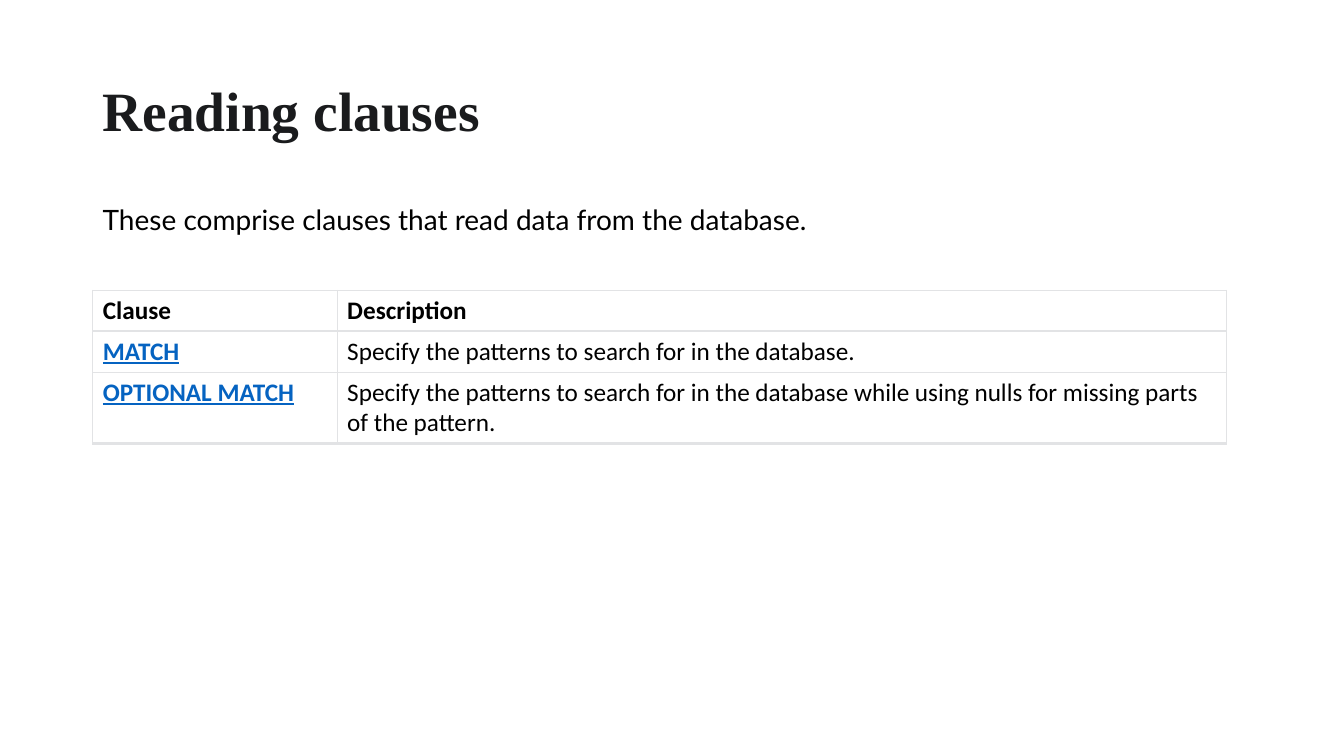
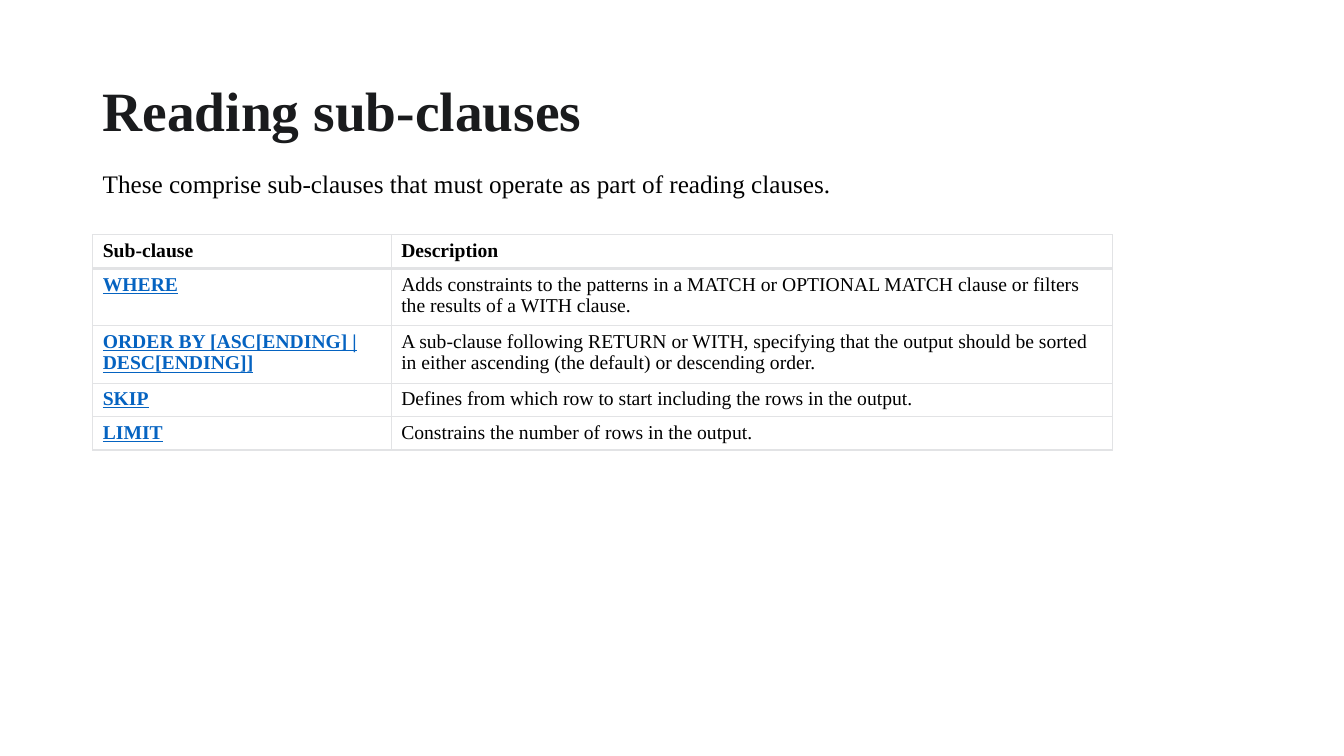
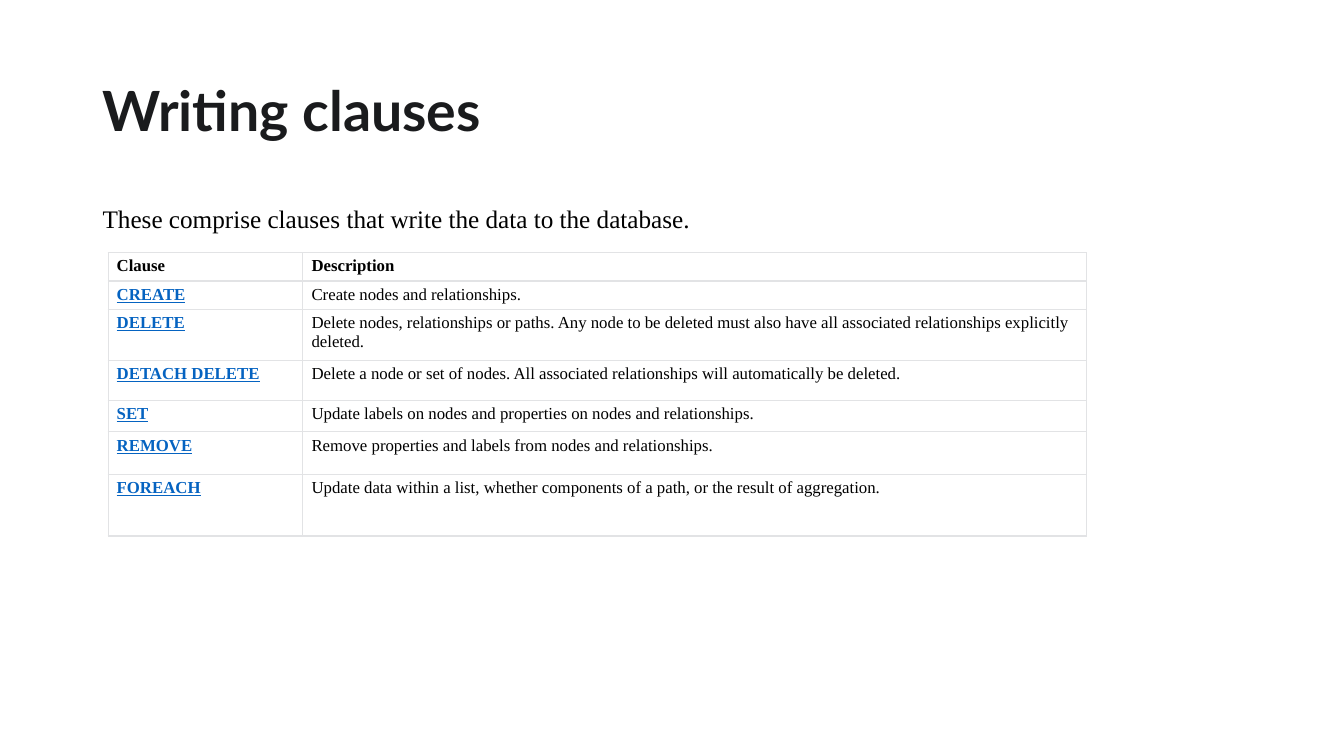
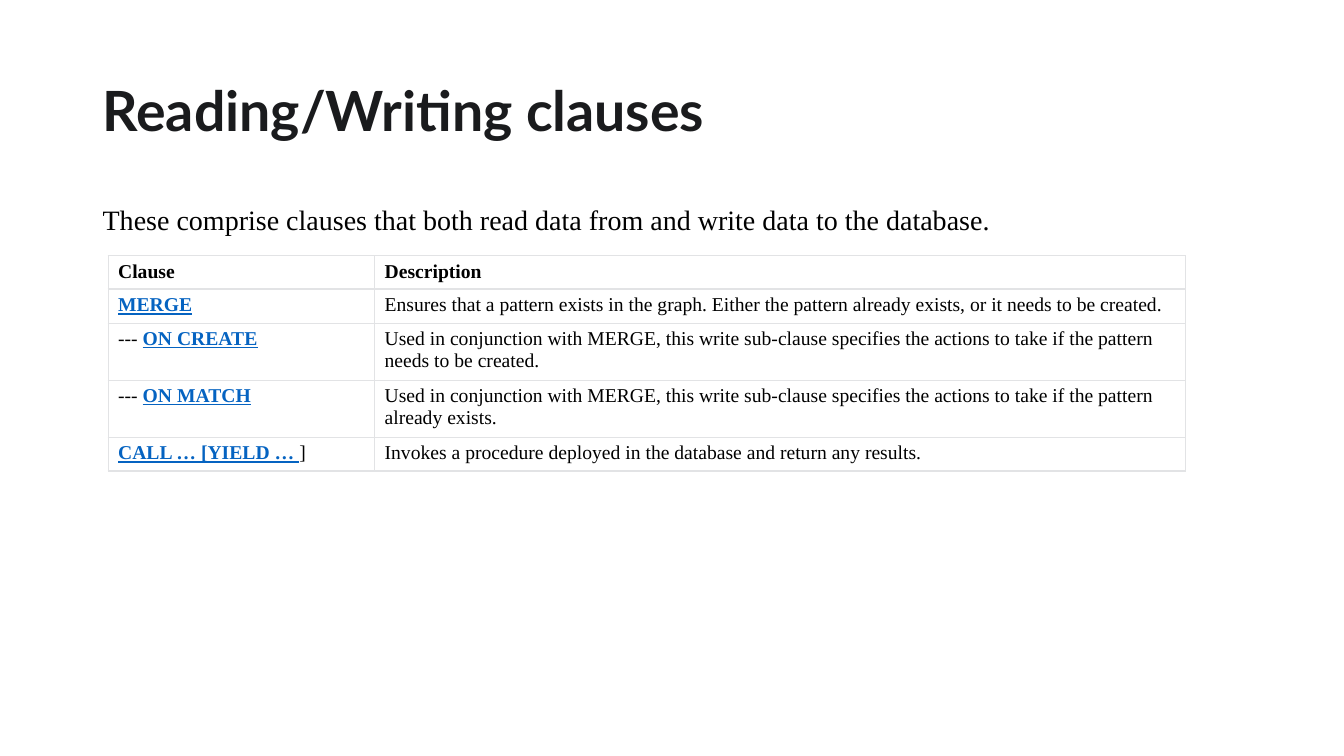
import dataclasses

import lxml.etree
import pptx
import pptx.dml.color
import pptx.enum.text
import pptx.oxml.ns
import pptx.util

Pt = pptx.util.Pt
RGBColor = pptx.dml.color.RGBColor
Anchor = pptx.enum.text.MSO_ANCHOR

INK = RGBColor(0x1A, 0x1B, 0x1D)
BLACK = RGBColor(0x00, 0x00, 0x00)
WHITE = RGBColor(0xFF, 0xFF, 0xFF)
LINK = RGBColor(0x05, 0x63, 0xC1)
RULE = RGBColor(0xE2, 0xE3, 0xE5)

SERIF = "Times New Roman"
LATO = "Lato"
CALIBRI = "Calibri"

LEFT = 66.24
WIDTH = 828
THIN = 0.75
THICK = 1.88


@dataclasses.dataclass(frozen=True)
class Box:
    left: float
    top: float
    width: float
    height: float


@dataclasses.dataclass(frozen=True)
class Font:
    name: str
    size: float
    color: RGBColor = BLACK
    bold: bool = False
    line: bool = False


@dataclasses.dataclass(frozen=True)
class Row:
    link: str
    note: str
    height: float
    lead: str = ""
    tail: str = ""


@dataclasses.dataclass(frozen=True)
class Grid:
    left: float
    top: float
    cols: tuple[float, float]
    font: Font
    label: str
    head: float
    rows: list[Row]
    pad: tuple[float, float] = (7.2, 3.6)


@dataclasses.dataclass(frozen=True)
class Page:
    title: str
    face: str
    intro: str
    font: Font
    grid: Grid
    box: Box = Box(LEFT, 144, WIDTH, 342.72)
    space: float = 0.9


TITLE = Box(LEFT, 28.8, WIDTH, 104.4)

PAGES = [
    Page(
        "Reading clauses", SERIF,
        "These comprise clauses that read data from the database.",
        Font(LATO, 20),
        Grid(LEFT, 207.4, (174.6, 635.4), Font(CALIBRI, 18), "Clause", 29.2, [
            Row("MATCH", "Specify the patterns to search for in the database.", 29.2),
            Row("OPTIONAL MATCH", "Specify the patterns to search for in the database "
                "while using nulls for missing parts of the pattern.", 51.1),
        ]),
    ),
    Page(
        "Reading sub-clauses", SERIF,
        "These comprise sub-clauses that must operate as part of reading clauses.",
        Font(SERIF, 18),
        Grid(LEFT, 167.8, (213.2, 515.4), Font(SERIF, 14), "Sub-clause", 22.5, [
            Row("WHERE", "Adds constraints to the patterns in a MATCH or OPTIONAL MATCH "
                "clause or filters the results of a WITH clause.", 38.2),
            Row("ORDER BY [ASC[ENDING] | DESC[ENDING]]",
                "A sub-clause following RETURN or WITH, specifying that the output "
                "should be sorted in either ascending (the default) or descending order.", 38.2),
            Row("SKIP", "Defines from which row to start including the rows in the output.", 22.5),
            Row("LIMIT", "Constrains the number of rows in the output.", 22.5),
        ]),
        Box(LEFT, 116.64, 769, 28.8), 1.0,
    ),
    Page(
        "Writing clauses", LATO,
        "These comprise clauses that write the data to the database.",
        Font(SERIF, 18),
        Grid(77.2, 180.4, (139.2, 559.4), Font(SERIF, 12), "Clause", 19.4, [
            Row("CREATE", "Create nodes and relationships.", 19.4),
            Row("DELETE", "Delete nodes, relationships or paths. Any node to be deleted must "
                "also have all associated relationships explicitly deleted.", 36.6),
            Row("DETACH DELETE", "Delete a node or set of nodes. All associated relationships "
                "will automatically be deleted.", 28),
            Row("SET", "Update labels on nodes and properties on nodes and relationships.", 22.8),
            Row("REMOVE", "Remove properties and labels from nodes and relationships.", 30.6),
            Row("FOREACH", "Update data within a list, whether components of a path, "
                "or the result of aggregation.", 43.8),
        ], (6.2, 3)),
    ),
    Page(
        "Reading/Writing clauses", LATO,
        "These comprise clauses that both read data from and write data to the database.",
        Font(SERIF, 20),
        Grid(77.2, 182.6, (190.4, 579.2), Font(SERIF, 14), "Clause", 22.5, [
            Row("MERGE", "Ensures that a pattern exists in the graph. Either the pattern "
                "already exists, or it needs to be created.", 22.5),
            Row("ON CREATE", "Used in conjunction with MERGE, this write sub-clause specifies "
                "the actions to take if the pattern needs to be created.", 38.2, lead="--- "),
            Row("ON MATCH", "Used in conjunction with MERGE, this write sub-clause specifies "
                "the actions to take if the pattern already exists.", 38.2, lead="--- "),
            Row("CALL … [YIELD … ", "Invokes a procedure deployed in the database "
                "and return any results.", 22.5, tail="]"),
        ]),
    ),
]


def style(run, font: Font) -> None:
    run.font.name = font.name
    run.font.size = Pt(font.size)
    run.font.color.rgb = font.color
    run.font.bold = font.bold
    run.font.underline = font.line


def add_text(slide, box: Box, text: str, font: Font, space: float, anchor=Anchor.TOP) -> None:
    shape = slide.shapes.add_textbox(Pt(box.left), Pt(box.top), Pt(box.width), Pt(box.height))
    frame = shape.text_frame
    frame.word_wrap = True
    frame.vertical_anchor = anchor
    frame.text = text
    frame.paragraphs[0].line_spacing = space
    style(frame.paragraphs[0].runs[0], font)


def set_edges(cell, top: float, bottom: float) -> None:
    props = cell._tc.get_or_add_tcPr()
    edges = {"lnL": THIN, "lnR": THIN, "lnT": top, "lnB": bottom}
    for spot, (tag, size) in enumerate(edges.items()):
        edge = lxml.etree.Element(pptx.oxml.ns.qn(f"a:{tag}"), w=str(int(Pt(size))))
        fill = lxml.etree.SubElement(edge, pptx.oxml.ns.qn("a:solidFill"))
        lxml.etree.SubElement(fill, pptx.oxml.ns.qn("a:srgbClr"), val=str(RULE))
        props.insert(spot, edge)


def fill_cell(cell, parts: list[tuple[str, Font]], pad: tuple[float, float]) -> None:
    cell.fill.solid()
    cell.fill.fore_color.rgb = WHITE
    cell.margin_left = cell.margin_right = Pt(pad[0])
    cell.margin_top = cell.margin_bottom = Pt(pad[1])
    for text, font in parts:
        if text:
            run = cell.text_frame.paragraphs[0].add_run()
            run.text = text
            style(run, font)


def add_grid(slide, grid: Grid) -> None:
    plain = grid.font
    bold = dataclasses.replace(plain, bold=True)
    link = dataclasses.replace(bold, color=LINK, line=True)
    lines = [([(grid.label, bold)], [("Description", bold)])]
    for row in grid.rows:
        lines.append(([(row.lead, plain), (row.link, link), (row.tail, plain)],
                      [(row.note, plain)]))
    highs = [grid.head] + [row.height for row in grid.rows]
    table = slide.shapes.add_table(
        len(lines), len(grid.cols), Pt(grid.left), Pt(grid.top),
        Pt(sum(grid.cols)), Pt(sum(highs))).table
    table.first_row = False
    table.horz_banding = False
    for col, width in zip(table.columns, grid.cols):
        col.width = Pt(width)
    for i, (line, high) in enumerate(zip(lines, highs)):
        table.rows[i].height = Pt(high)
        top = THICK if i == 1 else THIN
        bottom = THICK if i in (0, len(lines) - 1) else THIN
        for j, parts in enumerate(line):
            cell = table.cell(i, j)
            fill_cell(cell, parts, grid.pad)
            set_edges(cell, top, bottom)


def add_page(deck, page: Page) -> None:
    slide = deck.slides.add_slide(deck.slide_layouts[6])
    add_text(slide, TITLE, page.title, Font(page.face, 39.6, INK, True), 0.9, Anchor.MIDDLE)
    add_text(slide, page.box, page.intro, page.font, page.space)
    add_grid(slide, page.grid)


def main() -> None:
    deck = pptx.Presentation()
    deck.slide_width = Pt(960)
    deck.slide_height = Pt(540)
    for page in PAGES:
        add_page(deck, page)
    deck.save("out.pptx")


if __name__ == "__main__":
    main()
